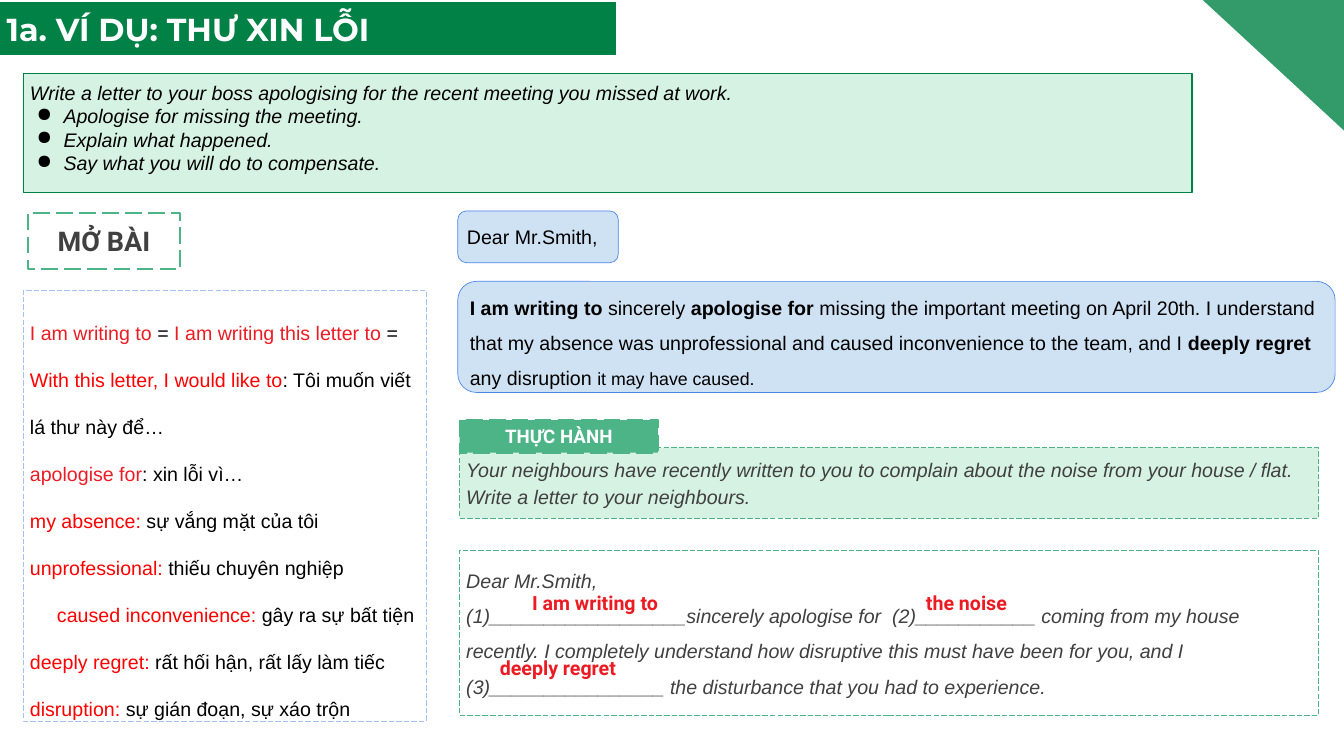
import pptx
import pptx.util
import pptx.dml.color
import pptx.enum.dml
import pptx.enum.shapes
import pptx.enum.text
import pptx.oxml
import pptx.oxml.ns
from lxml import etree

Pt = pptx.util.Pt
ALIGN = pptx.enum.text.PP_ALIGN
ANCHOR = pptx.enum.text.MSO_ANCHOR
RECT = pptx.enum.shapes.MSO_SHAPE.RECTANGLE
ROUND = pptx.enum.shapes.MSO_SHAPE.ROUNDED_RECTANGLE
LONG_DASH = pptx.enum.dml.MSO_LINE.LONG_DASH

GREEN, MINT, GRASS = "018146", "4CB487", "00B050"
BLUE, PALE_BLUE, EDGE_BLUE = "4A86E8", "CFE2F3", "A4C2F4"
BLACK, GREY, WHITE = "000000", "414041", "FFFFFF"
RED, CRIMSON, ANSWER_RED = "FF0000", "EB1C24", "EC1B23"


def paint(target, color, opacity=100):
    """Give a fill or a font a solid colour; a fill may be see-through."""
    if hasattr(target, "solid"):
        target.solid()
        target.fore_color.rgb = pptx.dml.color.RGBColor.from_string(color)
    else:
        target.color.rgb = pptx.dml.color.RGBColor.from_string(color)
    if opacity < 100:
        tint = target.fore_color._xFill.find(".//" + pptx.oxml.ns.qn("a:srgbClr"))
        etree.SubElement(tint, pptx.oxml.ns.qn("a:alpha"), val=str(opacity * 1000))


def write(shape, paragraphs, size=21, font="Arial", color=BLACK, bold=False, italic=False,
          align=ALIGN.LEFT, anchor=ANCHOR.TOP, spacing=1.0, bullets_from=None, indents=None):
    """Fill a shape with paragraphs, each a list of (text, format changes) runs."""
    frame = shape.text_frame
    frame.word_wrap = True
    frame.auto_size = pptx.enum.text.MSO_AUTO_SIZE.NONE
    frame.vertical_anchor = anchor
    frame.margin_left = frame.margin_right = frame.margin_top = frame.margin_bottom = Pt(7.2)
    for index, runs in enumerate(paragraphs):
        paragraph = frame.paragraphs[0] if index == 0 else frame.add_paragraph()
        paragraph.alignment = align
        paragraph.line_spacing = spacing
        paragraph.space_before = Pt(0)
        properties = paragraph._p.get_or_add_pPr()
        if bullets_from is not None and index >= bullets_from:
            properties.set("marL", str(Pt(36)))
            properties.set("indent", str(Pt(-28.8)))
            bullet_color = etree.SubElement(properties, pptx.oxml.ns.qn("a:buClr"))
            etree.SubElement(bullet_color, pptx.oxml.ns.qn("a:srgbClr"), val=color)
            etree.SubElement(properties, pptx.oxml.ns.qn("a:buChar"), char="●")
        elif indents and index in indents:
            properties.set("marL", str(Pt(indents[index])))
        for text, changes in runs:
            run = paragraph.add_run()
            run.text = text
            run.font.name = font
            run.font.size = Pt(changes.get("size", size))
            run.font.bold = changes.get("bold", bold)
            run.font.italic = italic
            paint(run.font, changes.get("color", color))


deck = pptx.Presentation()
deck.slide_width, deck.slide_height = Pt(1440), Pt(810)
slide = deck.slides.add_slide(deck.slide_layouts[5])

# Title bar
title = slide.shapes.title
title.left, title.top, title.width, title.height = Pt(0), Pt(3), Pt(659.5), Pt(55.5)
paint(title.fill, GREEN)
paint(title.line.fill, GREEN)
title.line.width = Pt(0.75)
write(title, [[("1a. VÍ DỤ: THƯ XIN LỖI", {})]], size=34, font="Montserrat", color=WHITE, bold=True)

# Corner triangle
outline = slide.shapes.build_freeform(Pt(1242.7), Pt(-42.5))
outline.add_line_segments([(Pt(1847.5), Pt(-42.5)), (Pt(1545.1), Pt(236.9))], close=True)
corner = outline.convert_to_shape()
corner.shadow.inherit = False
paint(corner.fill, "018345", 80)
corner.line.fill.background()

# Wording
brief = [[(text, {})] for text in (
    "Write a letter to your boss apologising for the recent meeting you missed at work.",
    "Apologise for missing the meeting.",
    "Explain what happened.",
    "Say what you will do to compensate.",
)]
strong, red, crimson = {"bold": True}, {"color": RED}, {"color": CRIMSON}
opening = [[
    ("I am writing to", strong), (" sincerely ", {}), ("apologise for", strong),
    (" missing the important meeting on April 20th. I understand that my absence was "
     "unprofessional and caused inconvenience to the team, and I ", {}),
    ("deeply regret", strong), (" any disruption ", {}), ("it may have caused.", {"size": 19}),
]]
vocabulary = [
    [("I am writing to", crimson), (" = ", {}), ("I am writing this letter to", crimson),
     (" = ", {}), ("With this letter, I would like to", red),
     (": Tôi muốn viết lá thư này để…", {})],
    [("apologise for", crimson), (": xin lỗi vì…", {})],
]
vocabulary += [[(phrase, red), (meaning, {})] for phrase, meaning in (
    ("my absence: ", "sự vắng mặt của tôi"),
    ("unprofessional: ", "thiếu chuyên nghiệp"),
    ("caused inconvenience: ", "gây ra sự bất tiện"),
    ("deeply regret: ", "rất hối hận, rất lấy làm tiếc"),
    ("disruption: ", "sự gián đoạn, sự xáo trộn"),
)]
task = [[("Your neighbours have recently written to you to complain about the noise from your "
          "house / flat. Write a letter to your neighbours.", {})]]
gap_letter = [
    [("Dear Mr.Smith,", {})],
    [("(1)__________________sincerely apologise for  (2)___________ coming from my house "
      "recently. I completely understand how disruptive this must have been for you, and I "
      "(3)________________ the disturbance that you had to experience.", {})],
]

# Panels: outline, box, (fill, opacity), (line, width, dash), wording, format
label = dict(font="Roboto", bold=True, align=ALIGN.CENTER, anchor=ANCHOR.MIDDLE)
clear, pale_blue, pale_green = None, (PALE_BLUE, 100), (GRASS, 16)
blue_edge, mint_edge = (BLUE, 0.75, None), (MINT, 0.75, LONG_DASH)
label_edge = (MINT, 2.25, LONG_DASH)
panels = [
    (RECT, (25, 79, 1252, 127.5), pale_green, (GREEN, 1.5, None), brief,
     dict(italic=True, align=ALIGN.JUSTIFY, bullets_from=1)),
    (RECT, (30, 228, 163, 60.5), clear, label_edge, [[("MỞ BÀI", {})]],
     dict(label, size=29, color=GREY)),
    (ROUND, (490.5, 226, 172, 55.5), pale_blue, blue_edge, [[("Dear Mr.Smith,", {})]],
     dict(anchor=ANCHOR.MIDDLE)),
    (ROUND, (490.5, 301.5, 940, 119), pale_blue, blue_edge, opening,
     dict(anchor=ANCHOR.MIDDLE, spacing=1.5)),
    (RECT, (25, 311, 431.5, 462), clear, (EDGE_BLUE, 0.75, LONG_DASH), vocabulary,
     dict(spacing=2.0, indents={4: 29})),
    (RECT, (492.5, 479.5, 920, 75.5), pale_green, mint_edge, task,
     dict(color=GREY, italic=True, spacing=1.15)),
    (RECT, (492.5, 450, 212.5, 35), (MINT, 100), label_edge, [[("THỰC HÀNH", {})]],
     dict(label, size=20, color=WHITE)),
    (RECT, (492.5, 589.5, 920, 177), clear, mint_edge, gap_letter,
     dict(color=GREY, italic=True, spacing=1.5)),
]
for kind, box, fill, (edge, width, dash), wording, style in panels:
    panel = slide.shapes.add_shape(kind, *map(Pt, box))
    panel.shadow.inherit = False
    if fill:
        paint(panel.fill, *fill)
    else:
        panel.fill.background()
    paint(panel.line.fill, edge)
    panel.line.width = Pt(width)
    if dash:
        panel.line.dash_style = dash
    write(panel, wording, **style)

# Answers over the gaps
for answer, box in (
    ("I am writing to", (563, 625.5, 194, 35)),
    ("the noise", (985, 625.5, 133, 35)),
    ("deeply regret", (528.5, 695.5, 172, 35)),
):
    write(slide.shapes.add_textbox(*map(Pt, box)), [[(answer, {})]],
          font="Roboto", color=ANSWER_RED, bold=True)

deck.save("out.pptx")
